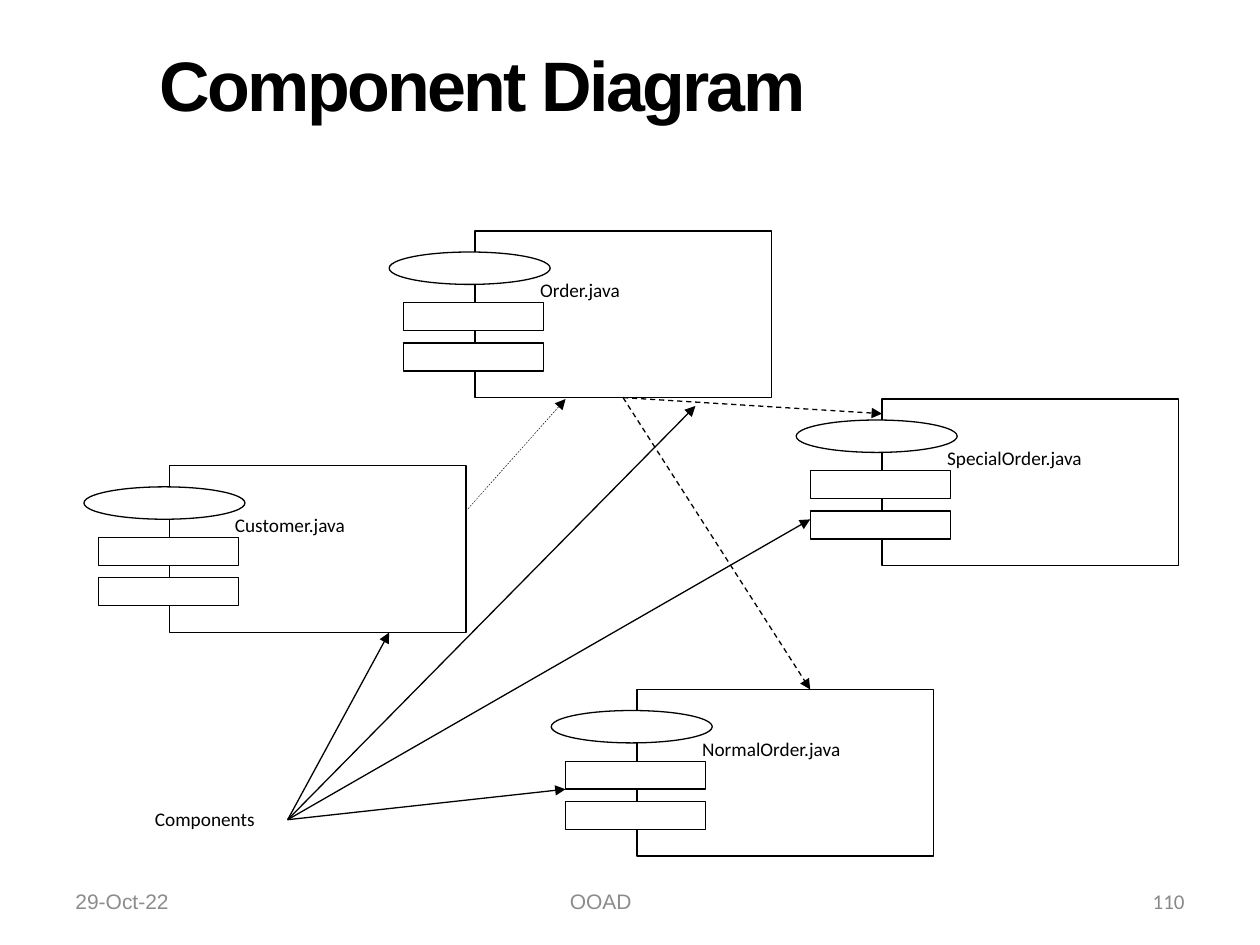
from lxml import etree
from pptx import Presentation
from pptx.dml.color import RGBColor
from pptx.enum.dml import MSO_LINE
from pptx.enum.shapes import MSO_CONNECTOR, MSO_SHAPE
from pptx.enum.text import MSO_ANCHOR, PP_ALIGN
from pptx.oxml.ns import qn
from pptx.util import Pt

BLACK = RGBColor(0, 0, 0)
WHITE = RGBColor(255, 255, 255)
GRAY = RGBColor(0x8C, 0x8C, 0x8C)
PAGE = RGBColor(0x89, 0x89, 0x89)
RECT, OVAL = MSO_SHAPE.RECTANGLE, MSO_SHAPE.OVAL
LEFT, CENTER, RIGHT = PP_ALIGN.LEFT, PP_ALIGN.CENTER, PP_ALIGN.RIGHT
TOP, MIDDLE = MSO_ANCHOR.TOP, MSO_ANCHOR.MIDDLE
STRAIGHT, DASH = MSO_CONNECTOR.STRAIGHT, MSO_LINE.DASH


def write(shape, text, size, font, color, align=LEFT, anchor=TOP):
    frame = shape.text_frame
    frame.word_wrap = True
    frame.vertical_anchor = anchor
    para = frame.paragraphs[0]
    para.text = text
    para.alignment = align
    para.font.size = Pt(size)
    para.font.name = font
    para.font.color.rgb = color
    return frame


def add_box(slide, kind, box, edge=BLACK):
    shape = slide.shapes.add_shape(kind, *map(Pt, box))
    shape.shadow.inherit = False
    shape.fill.solid()
    shape.fill.fore_color.rgb = WHITE
    shape.line.color.rgb = edge
    shape.line.width = Pt(0.75)
    return shape


def add_title(slide, box):
    area = slide.shapes.add_textbox(*map(Pt, box))
    frame = write(area, "Component Diagram", 40, "Arial", BLACK, anchor=MIDDLE)
    para = frame.paragraphs[0]
    para.font.bold = True
    para.runs[0].font._element.set("spc", "-150")


def add_footer(slide, box):
    left, top, width, height = box
    parts = (
        (0, 168, "29-Oct-22", "Arial", GRAY, LEFT, 7.2),
        (210, 228, "OOAD", "Arial", GRAY, CENTER, 40.5),
        (width - 168, 168, "110", "Calibri", PAGE, RIGHT, 7.2),
    )
    for shift, span, text, font, color, align, inset in parts:
        area = slide.shapes.add_textbox(Pt(left + shift), Pt(top), Pt(span), Pt(height))
        frame = write(area, text, 12, font, color, align, MIDDLE)
        frame.margin_right = Pt(inset)


def add_part(slide, name, box):
    left, top, width, height = box
    body = add_box(slide, RECT, (left + 49, top, width - 49, height))
    frame = write(body, name, 11, "Calibri", BLACK)
    frame.margin_left = Pt(37.2)
    frame.margin_top = Pt(27.2)
    add_box(slide, OVAL, (left, top + 12, 92, 18.5))
    for drop in (41, 64):
        add_box(slide, RECT, (left + 8.2, top + drop, 80, 16))
    return body


def add_key(slide, box):
    label = add_box(slide, RECT, box, WHITE)
    write(label, "Components", 11, "Calibri", BLACK)


def add_arrow(slide, start, end, width=0.75, dash=None):
    arrow = slide.shapes.add_connector(STRAIGHT, *map(Pt, start + end))
    arrow.line.color.rgb = BLACK
    arrow.line.width = Pt(width)
    if dash:
        arrow.line.dash_style = dash
    props = arrow._element.spPr
    line = props.find(qn("a:ln"))
    etree.SubElement(line, qn("a:tailEnd"), type="triangle")
    etree.SubElement(props, qn("a:effectLst"))
    return arrow


def add_chart_body(slide, box):
    left, top, width, height = box
    parts = {
        "Order.java": (174.4, 0),
        "Customer.java": (0, 134.2),
        "NormalOrder.java": (267, 262),
        "SpecialOrder.java": (407, 96),
    }
    bodies = {
        name: add_part(slide, name, (left + x, top + y, 218.3, 95.2))
        for name, (x, y) in parts.items()
    }
    add_key(slide, (left + 33.4, top + 326, 110, 26.6))

    def spot(x, y):
        return left + x, top + y

    root = spot(116.4, 336.4)
    for end in ((174.4, 229.5), (349.4, 100), (415, 164.8), (275.2, 319)):
        add_arrow(slide, root, spot(*end))
    add_arrow(slide, spot(218.3, 160), spot(275.2, 96), 0.25, DASH)
    for end in ((415, 262), (456, 104.4)):
        arrow = add_arrow(slide, spot(308, 95.2), spot(*end), dash=DASH)
        arrow.begin_connect(bodies["Order.java"], 2)


def main():
    deck = Presentation()
    deck.slide_width, deck.slide_height = Pt(720), Pt(540)
    slide = deck.slides.add_slide(deck.slide_layouts[6])
    add_title(slide, (84.2, 17.3, 613.4, 60.5))
    add_footer(slide, (36, 500.5, 648, 28.8))
    add_chart_body(slide, (48, 132, 625.3, 357.2))
    deck.save("out.pptx")


if __name__ == "__main__":
    main()
